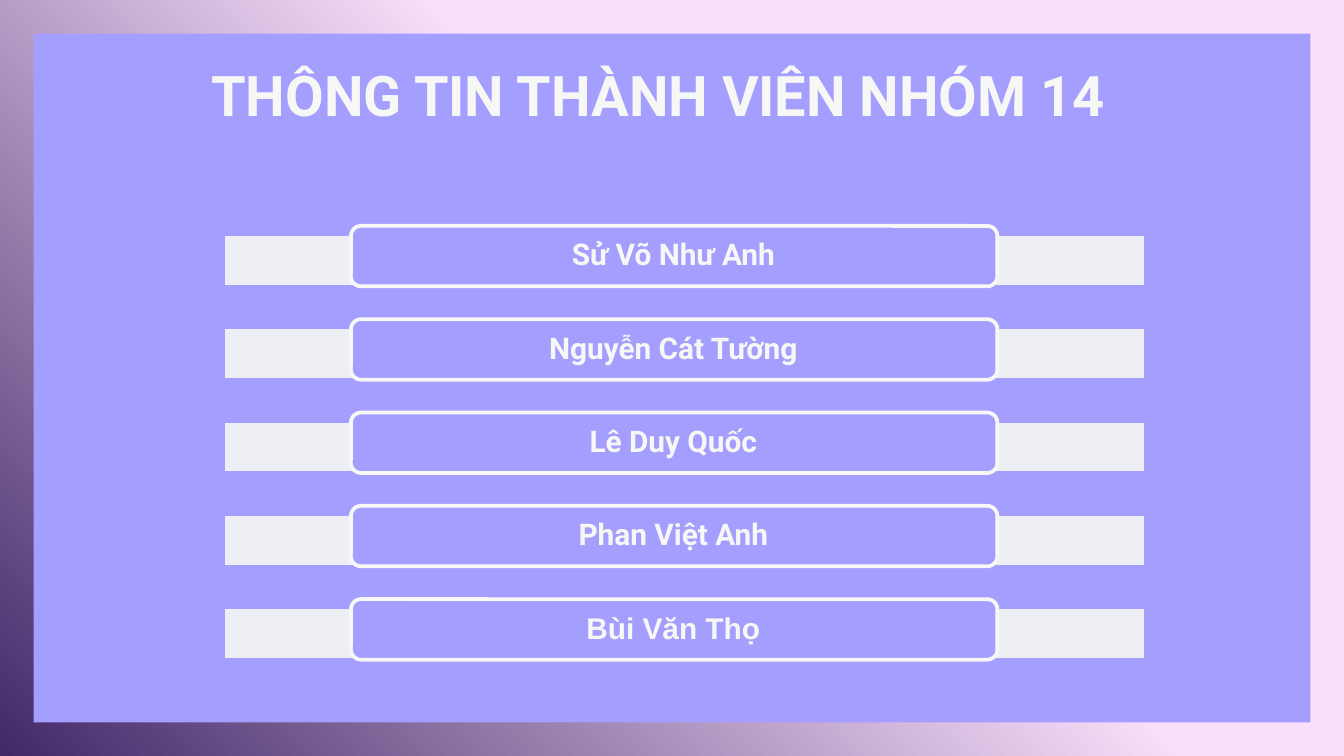
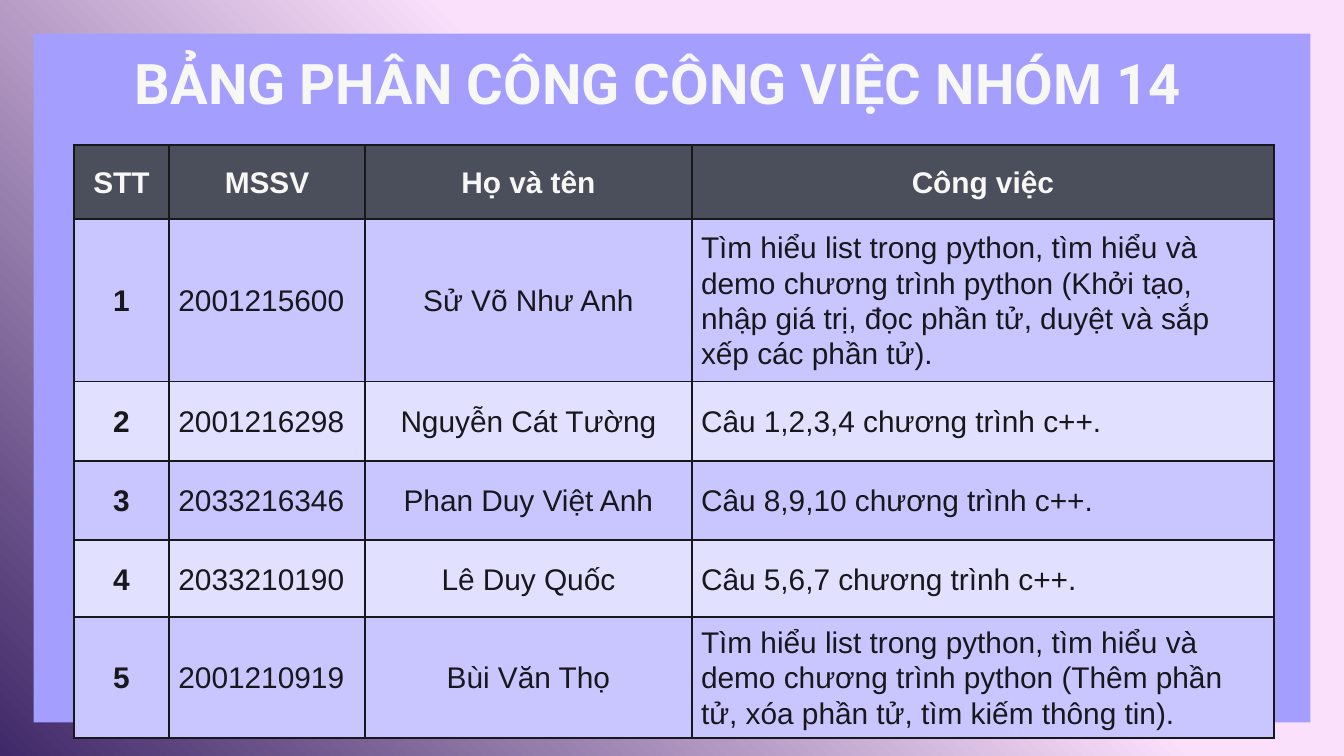
from dataclasses import dataclass

from lxml.etree import SubElement
from pptx import Presentation
from pptx.dml.color import RGBColor
from pptx.enum.shapes import MSO_SHAPE as Preset
from pptx.enum.text import MSO_ANCHOR as Anchor, MSO_AUTO_SIZE as AutoSize, PP_ALIGN as Align
from pptx.oxml.ns import qn
from pptx.util import Pt

# Palette and fonts
LAVENDER = RGBColor(0xA4, 0x9E, 0xFF)
OFF_WHITE = RGBColor(0xF7, 0xF7, 0xF5)
DEEP_PURPLE = RGBColor(0x40, 0x29, 0x68)
PALE_PINK = RGBColor(0xFB, 0xE0, 0xFC)
SLATE = RGBColor(0x4B, 0x4E, 0x5B)
INK = RGBColor(0x17, 0x18, 0x1C)
BAND_DARK = RGBColor(0xC9, 0xC5, 0xFF)
BAND_LIGHT = RGBColor(0xE2, 0xE0, 0xFF)
HEADING_FONT = "Roboto"
BODY_FONT = "Arial"


@dataclass(frozen=True)
class Box:
    left: float
    top: float
    width: float
    height: float

    def down(self, distance: float) -> "Box":
        return Box(self.left, self.top + distance, self.width, self.height)

    def lengths(self) -> tuple:
        return Pt(self.left), Pt(self.top), Pt(self.width), Pt(self.height)


@dataclass(frozen=True)
class Member:
    name: str
    font: str = HEADING_FONT


@dataclass(frozen=True)
class Task:
    student_id: str
    name: str
    work: str


PANEL = Box(18, 18, 684, 369)

# Member rows: first row, then an equal step down
BAR = Box(119.5, 125.5, 494.6, 28)
PILL = Box(188, 121, 346.3, 32.4)
LABEL = Box(189.4, 122.5, 342.7, 29.5)
MEMBER_STEP = 50
MEMBERS = [
    Member("Sử Võ Như Anh"),
    Member("Nguyễn Cát Tường"),
    Member("Lê Duy Quốc"),
    Member("Phan Việt Anh"),
    Member("Bùi Văn Thọ", BODY_FONT),
]

# Task table
TABLE = Box(39.6, 77.8, 643, 318)
COLUMN_WIDTHS = [51, 105, 175, 312]
ROW_HEIGHTS = [39.6, 87, 42.5, 42.5, 41.2, 64.8]
HEADERS = ["STT", "MSSV", "Họ và tên", "Công việc"]
COLUMN_ALIGNS = [Align.CENTER, Align.LEFT, Align.CENTER, Align.LEFT]
TASKS = [
    Task("2001215600", "Sử Võ Như Anh",
         "Tìm hiểu list trong python, tìm hiểu và demo chương trình python "
         "(Khởi tạo, nhập giá trị, đọc phần tử, duyệt và sắp xếp các phần tử)."),
    Task("2001216298", "Nguyễn Cát Tường", "Câu 1,2,3,4 chương trình c++."),
    Task("2033216346", "Phan Duy Việt Anh", "Câu 8,9,10 chương trình c++."),
    Task("2033210190", "Lê Duy Quốc", "Câu 5,6,7 chương trình c++."),
    Task("2001210919", "Bùi Văn Thọ",
         "Tìm hiểu list trong python, tìm hiểu và demo chương trình python "
         "(Thêm phần tử, xóa phần tử, tìm kiếm thông tin)."),
]


def set_alpha(parent, percent: int) -> None:
    """Make the first RGB colour below an element translucent."""
    colour = next(parent.iter(qn("a:srgbClr")))
    SubElement(colour, qn("a:alpha")).set("val", str(percent * 1000))


def style_text(paragraph, font_name: str, size: float, colour: RGBColor,
               bold: bool = True, align: Align = Align.CENTER) -> None:
    paragraph.alignment = align
    for run in paragraph.runs:
        run.font.name = font_name
        run.font.size = Pt(size)
        run.font.bold = bold
        run.font.color.rgb = colour


def add_box(shapes, preset: Preset, box: Box, fill: RGBColor, line: RGBColor | None = None):
    shape = shapes.add_shape(preset, *box.lengths())
    shape.shadow.inherit = False
    shape.fill.solid()
    shape.fill.fore_color.rgb = fill
    if line is None:
        shape.line.fill.background()
    else:
        shape.line.color.rgb = line
        shape.line.width = Pt(2)
    return shape


def style_master(master, slide) -> None:
    """Give the master its gradient background and lavender panel."""
    fill = master.background.fill
    fill.gradient()
    fill.gradient_angle = 45
    dark, light = fill.gradient_stops
    dark.color.rgb, dark.position = DEEP_PURPLE, 0
    light.color.rgb, light.position = PALE_PINK, 0.57
    set_alpha(next(master.element.iter(qn("a:gs"))), 58)
    panel = add_box(slide.shapes, Preset.RECTANGLE, PANEL, LAVENDER)
    master.shapes.element.insert(2, panel.element)


def set_title(slide, text: str, box: Box) -> None:
    title = slide.shapes.title
    title.left, title.top, title.width, title.height = box.lengths()
    frame = title.text_frame
    frame.text = text
    frame.word_wrap = True
    frame.auto_size = AutoSize.NONE
    frame.vertical_anchor = Anchor.TOP
    frame.margin_left = frame.margin_top = frame.margin_bottom = Pt(7.2)
    frame.margin_right = Pt(22.2)
    style_text(frame.paragraphs[0], HEADING_FONT, 30, OFF_WHITE)


def add_member(slide, member: Member, offset: float) -> None:
    group = slide.shapes.add_group_shape()
    bar = add_box(group.shapes, Preset.RECTANGLE, BAR.down(offset), OFF_WHITE, LAVENDER)
    set_alpha(bar.element, 90)
    add_box(group.shapes, Preset.ROUNDED_RECTANGLE, PILL.down(offset), LAVENDER, OFF_WHITE)
    label = group.shapes.add_textbox(*LABEL.down(offset).lengths())
    frame = label.text_frame
    frame.text = member.name
    frame.word_wrap = True
    frame.vertical_anchor = Anchor.MIDDLE
    frame.margin_left = frame.margin_right = Pt(13)
    frame.margin_top = frame.margin_bottom = 0
    frame.paragraphs[0].line_spacing = 0.9
    style_text(frame.paragraphs[0], member.font, 16, OFF_WHITE)


def add_borders(cell) -> None:
    properties = cell._tc.get_or_add_tcPr()
    for side in ("lnL", "lnR", "lnT", "lnB"):
        border = SubElement(properties, qn(f"a:{side}"), w=str(Pt(1)))
        fill = SubElement(border, qn("a:solidFill"))
        SubElement(fill, qn("a:srgbClr"), val=str(INK))


def fill_cell(cell, text: str, fill: RGBColor, colour: RGBColor,
              bold: bool, align: Align) -> None:
    add_borders(cell)
    cell.fill.solid()
    cell.fill.fore_color.rgb = fill
    cell.vertical_anchor = Anchor.MIDDLE
    cell.margin_left = cell.margin_right = Pt(5)
    cell.margin_top = cell.margin_bottom = 0
    cell.text_frame.text = text
    paragraph = cell.text_frame.paragraphs[0]
    paragraph.line_spacing = 1.07
    paragraph.space_after = Pt(8)
    style_text(paragraph, BODY_FONT, 16, colour, bold, align)


def add_task_table(slide) -> None:
    table = slide.shapes.add_table(len(TASKS) + 1, len(HEADERS), *TABLE.lengths()).table
    for column, width in zip(table.columns, COLUMN_WIDTHS):
        column.width = Pt(width)
    for row, height in zip(table.rows, ROW_HEIGHTS):
        row.height = Pt(height)
    for column, header in enumerate(HEADERS):
        fill_cell(table.cell(0, column), header, SLATE, OFF_WHITE, True, Align.CENTER)
    for number, task in enumerate(TASKS, start=1):
        band = BAND_DARK if number % 2 else BAND_LIGHT
        values = [str(number), task.student_id, task.name, task.work]
        for column, (value, align) in enumerate(zip(values, COLUMN_ALIGNS)):
            fill_cell(table.cell(number, column), value, band, INK, column == 0, align)


def main() -> None:
    prs = Presentation()
    prs.slide_width, prs.slide_height = Pt(720), Pt(405)
    title_only = prs.slide_layouts[5]

    # Group members
    members_slide = prs.slides.add_slide(title_only)
    style_master(prs.slide_master, members_slide)
    set_title(members_slide, "THÔNG TIN THÀNH VIÊN NHÓM 14", Box(82.8, 25.2, 555, 38))
    for index, member in enumerate(MEMBERS):
        add_member(members_slide, member, index * MEMBER_STEP)

    # Task assignment
    tasks_slide = prs.slides.add_slide(title_only)
    set_title(tasks_slide, "BẢNG PHÂN CÔNG CÔNG VIỆC NHÓM 14", Box(56.2, 18.7, 607.7, 38))
    add_task_table(tasks_slide)

    prs.save("out.pptx")


if __name__ == "__main__":
    main()
